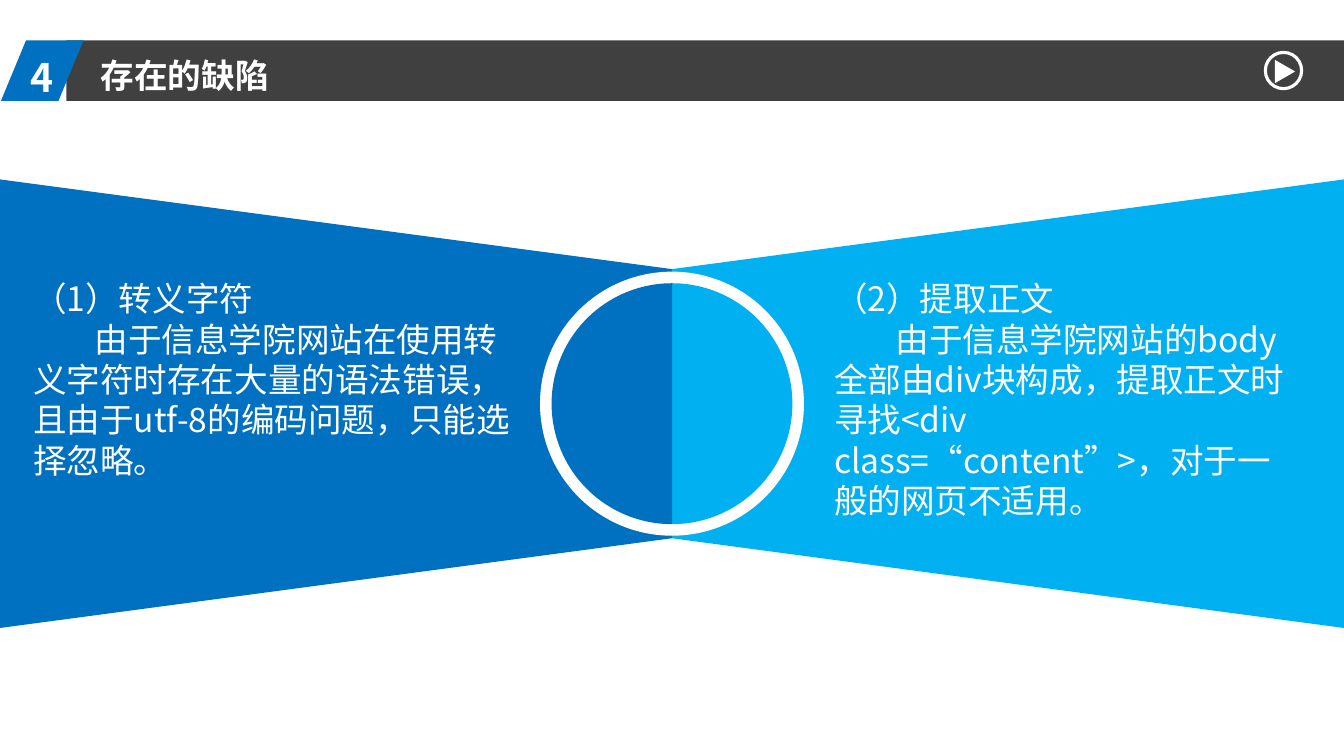
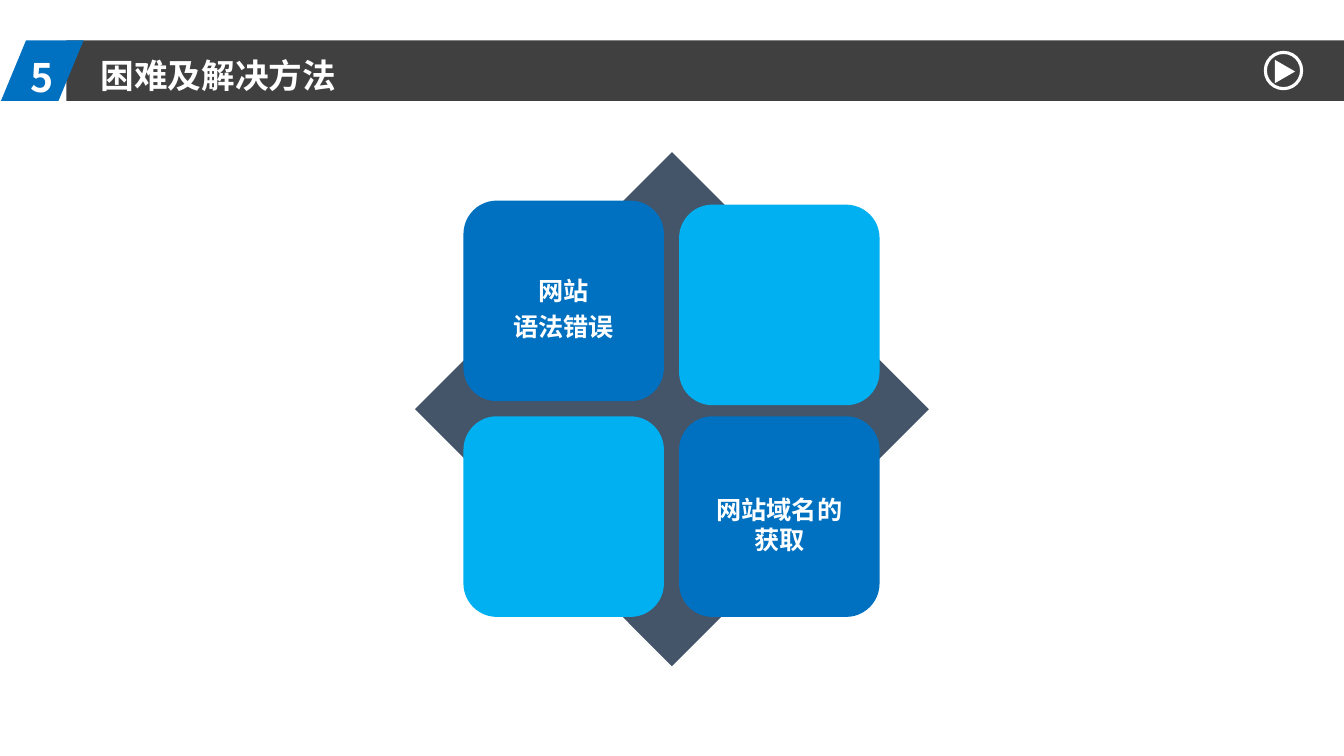
from pptx import Presentation
from pptx.dml.color import RGBColor
from pptx.enum.shapes import MSO_SHAPE
from pptx.enum.text import MSO_ANCHOR, PP_ALIGN
from pptx.oxml.ns import qn
from pptx.util import Pt

PX = 9144  # EMU in one px, 100 px to the inch
SLIDE_W, SLIDE_H = 1334, 750
FONT = "Noto Sans CJK SC"
COLORS = {
    "white": "FFFFFF",
    "band": "404040",
    "blue": "0070C0",
    "sky": "00B0F0",
    "slate": "445469",
}


def px(*lengths):
    return [round(length * PX) for length in lengths]


def color(name):
    return RGBColor.from_string(COLORS[name])


def paint(shape, fill):
    shape.shadow.inherit = False
    shape.fill.solid()
    shape.fill.fore_color.rgb = color(fill)
    shape.line.fill.background()
    return shape


def add_block(slide, preset, box, fill):
    return paint(slide.shapes.add_shape(preset, *px(*box)), fill)


def write(shape, lines, size, bold=False, align=PP_ALIGN.LEFT,
          anchor=MSO_ANCHOR.MIDDLE, margins=(0, 0, 0, 0), gap=0, indent=0):
    """Fill a shape with paragraphs; gap and indent apply after the first."""
    frame = shape.text_frame
    frame.word_wrap = True
    frame.vertical_anchor = anchor
    (frame.margin_left, frame.margin_top,
     frame.margin_right, frame.margin_bottom) = px(*margins)
    for index, line in enumerate(lines):
        paragraph = frame.add_paragraph() if index else frame.paragraphs[0]
        paragraph.alignment = align
        paragraph.line_spacing = Pt(size * 1.2)
        paragraph.space_before = Pt(gap if index else 0)
        if index and indent:
            paragraph._p.get_or_add_pPr().set("indent", str(indent * PX))
        run = paragraph.add_run()
        run.text = line
        run.font.name = FONT
        run.font.size = Pt(size)
        run.font.bold = bold
        run.font.color.rgb = color("white")
        east_asian = run.font._element.makeelement(qn("a:ea"), {"typeface": FONT})
        run.font._element.append(east_asian)


def add_play_button(slide, left, top):
    ring = add_block(slide, MSO_SHAPE.OVAL, (left, top, 36, 36), "white")
    ring.fill.background()
    ring.line.color.rgb = color("white")
    ring.line.width = Pt(2.25)
    arrow = add_block(slide, MSO_SHAPE.ISOSCELES_TRIANGLE,
                      (left + 8, top + 9, 23, 20), "white")
    arrow.rotation = 90


def add_header(slide, number, heading, top=40, height=60):
    # Title band
    title = slide.shapes.title
    title.left, title.top, title.width, title.height = px(
        66, top, SLIDE_W - 66, height)
    title.fill.solid()
    title.fill.fore_color.rgb = color("band")
    write(title, [heading], 24, bold=True, margins=(34, 8, 10, 0))
    # Section number
    badge = add_block(slide, MSO_SHAPE.PARALLELOGRAM, (1, top, 82, height), "blue")
    badge.adjustments[0] = 0.415
    write(badge, [number], 28, bold=True, align=PP_ALIGN.CENTER,
          margins=(0, 12, 0, 0))
    add_play_button(slide, 1256, top + 12)


def add_bow_tie(slide, left, top, width, height):
    center, middle = left + width / 2, top + height / 2
    # Wings narrowing to the middle
    for edge, fill in ((left, "blue"), (left + width, "sky")):
        outline = slide.shapes.build_freeform(edge, top, scale=PX)
        outline.add_line_segments([
            (center, top + height / 5),
            (center, top + height * 4 / 5),
            (edge, top + height),
        ])
        paint(outline.convert_to_shape(), fill)
    # White ring around two half discs
    for preset, size, fill, angles in (
        (MSO_SHAPE.OVAL, 262, "white", ()),
        (MSO_SHAPE.CHORD, 239, "sky", (270, 90)),
        (MSO_SHAPE.CHORD, 239, "blue", (90, 270)),
    ):
        disc = add_block(slide, preset,
                         (center - size / 2, middle - size / 2, size, size), fill)
        for index, angle in enumerate(angles):
            disc.adjustments[index] = angle * 0.6


def add_flaw(slide, box, lines):
    flaw = slide.shapes.add_textbox(*px(*box))
    write(flaw, lines, 24, anchor=MSO_ANCHOR.TOP,
          margins=(10, 7, 10, 5), indent=61)


def add_difficulty_grid(slide, left, top, size):
    add_block(slide, MSO_SHAPE.DIAMOND, (left, top, size, size), "slate")
    tile, gap = 199, 15
    inset = (size - 2 * tile - gap) // 2
    # Column, row, downward offset, fill, wording
    tiles = [
        (0, 0, 0, "blue", ["网站", "语法错误"]),
        (1, 0, 4, "sky", []),
        (0, 1, 0, "sky", []),
        (1, 1, 0, "blue", ["网站域名的获取"]),
    ]
    for column, row, drop, fill, lines in tiles:
        box = (left + inset + column * (tile + gap),
               top + inset + row * (tile + gap) + drop, tile, tile)
        card = add_block(slide, MSO_SHAPE.ROUNDED_RECTANGLE, box, fill)
        if lines:
            write(card, lines, 18, bold=True, align=PP_ALIGN.CENTER,
                  margins=(23, 15, 23, 0), gap=4.5)


def add_slide(deck, number, heading):
    slide = deck.slides.add_slide(deck.slide_layouts.get_by_name("Title Only"))
    add_header(slide, number, heading)
    return slide


def main():
    deck = Presentation()
    deck.slide_width, deck.slide_height = px(SLIDE_W, SLIDE_H)

    # Flaws
    flaws = add_slide(deck, "4", "存在的缺陷")
    add_bow_tie(flaws, 0, 178, SLIDE_W, 445)
    add_flaw(flaws, (23, 269, 501, 210), [
        "（1）转义字符",
        "由于信息学院网站在使用转义字符时存在大量的语法错误，且由于utf-8的编码问题，只能选择忽略。",
    ])
    add_flaw(flaws, (818, 269, 472, 250), [
        "（2）提取正文",
        "由于信息学院网站的body全部由div块构成，提取正文时寻找<div class=“content”>，对于一般的网页不适用。",
    ])

    # Difficulties
    difficulties = add_slide(deck, "5", "困难及解决方法")
    add_difficulty_grid(difficulties, 412, 151, 510)

    deck.save("out.pptx")


if __name__ == "__main__":
    main()
